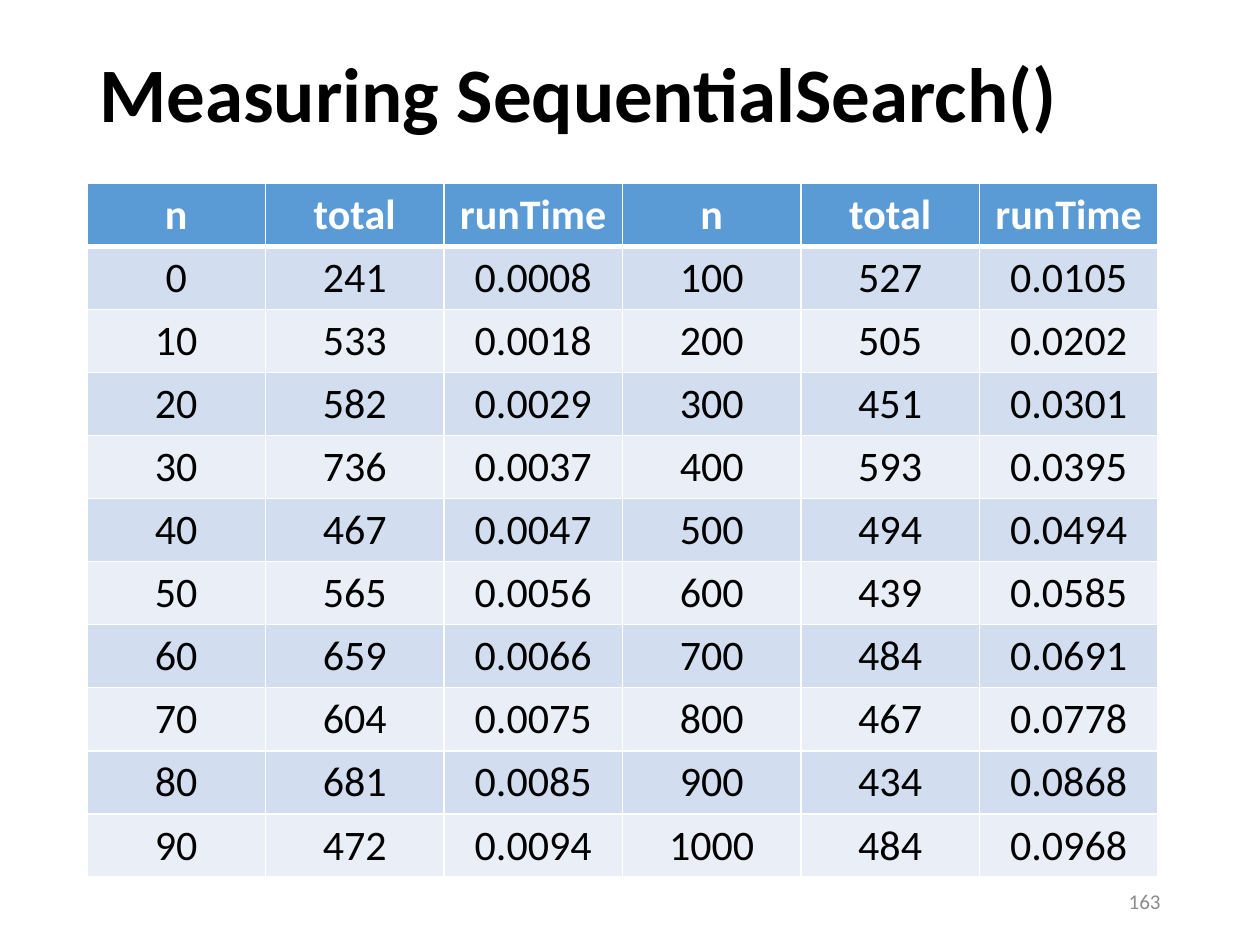
from lxml.etree import SubElement as Sub
from pptx import Presentation
from pptx.dml.color import RGBColor as RGB
from pptx.enum.text import MSO_ANCHOR as Anchor, PP_ALIGN as Align
from pptx.oxml.ns import qn
from pptx.util import Inches, Pt

WIDE, HIGH = Inches(10), Inches(7.5)
INK = {"text": "000000", "head": "5B9BD5", "odd": "D2DEEF",
       "even": "EAEFF7", "white": "FFFFFF", "page": "8C8C8C"}
HEAD = ["n", "total", "runTime"] * 2
SMALL = [241, 533, 582, 736, 467, 565, 659, 604, 681, 472]
LARGE = [527, 505, 451, 593, 494, 439, 484, 467, 434, 484]
FAST = [8, 18, 29, 37, 47, 56, 66, 75, 85, 94]
SLOW = [105, 202, 301, 395, 494, 585, 691, 778, 868, 968]


def share(x, y, w, h):
    """Turn shares of the slide into a box of lengths."""
    return int(x * WIDE), int(y * HIGH), int(w * WIDE), int(h * HIGH)


def write(frame, text, size=24, color="text", bold=False,
          align=Align.LEFT, space=None):
    para = frame.paragraphs[0]
    para.alignment = align
    if space:
        para.line_spacing = space
    run = para.add_run()
    run.text = text
    font = run.font
    font.name, font.size, font.bold = "Calibri", Pt(size), bold
    font.color.rgb = RGB.from_string(INK[color])


def label(slide, box, text, anchor=Anchor.TOP, **form):
    frame = slide.shapes.add_textbox(*box).text_frame
    frame.word_wrap = True
    frame.vertical_anchor = anchor
    write(frame, text, **form)


def edge(cell, **sides):
    """Draw white borders, given as side=width in points."""
    props = cell._tc.get_or_add_tcPr()
    for side, width in sides.items():
        line = Sub(props, qn(f"a:ln{side}"), w=str(Pt(width)))
        fill = Sub(line, qn("a:solidFill"))
        Sub(fill, qn("a:srgbClr"), val=INK["white"])


def results():
    """Pair the runs for n below 100 with those from 100 up."""
    rows = zip(SMALL, FAST, LARGE, SLOW)
    return [[str(10 * i), str(a), f"{f / 10000:.4f}",
             str(100 * (i + 1)), str(b), f"{s / 10000:.4f}"]
            for i, (a, f, b, s) in enumerate(rows)]


def grid(slide, box, rows):
    table = slide.shapes.add_table(len(rows), len(rows[0]), *box).table
    for r, row in enumerate(rows):
        tone = "head" if r == 0 else "odd" if r % 2 else "even"
        for c, text in enumerate(row):
            cell = table.cell(r, c)
            edge(cell, L=1, R=1, T=3 if r == 1 else 1, B=3 if r == 0 else 1)
            cell.fill.solid()
            cell.fill.fore_color.rgb = RGB.from_string(INK[tone])
            write(cell.text_frame, text, bold=r == 0, align=Align.CENTER,
                  color="text" if r else "white")


def main():
    deck = Presentation()
    deck.slide_width, deck.slide_height = WIDE, HIGH
    slide = deck.slides.add_slide(deck.slide_layouts[6])
    label(slide, share(0.706, 0.927, 0.225, 0.053), "163", size=12,
          color="page", align=Align.RIGHT, anchor=Anchor.MIDDLE)
    grid(slide, share(0.069, 0.194, 0.85, 0.733), [HEAD] + results())
    label(slide, share(0.069, 0.053, 0.862, 0.148),
          "Measuring SequentialSearch()", size=44, bold=True, space=0.9)
    deck.save("out.pptx")


if __name__ == "__main__":
    main()
